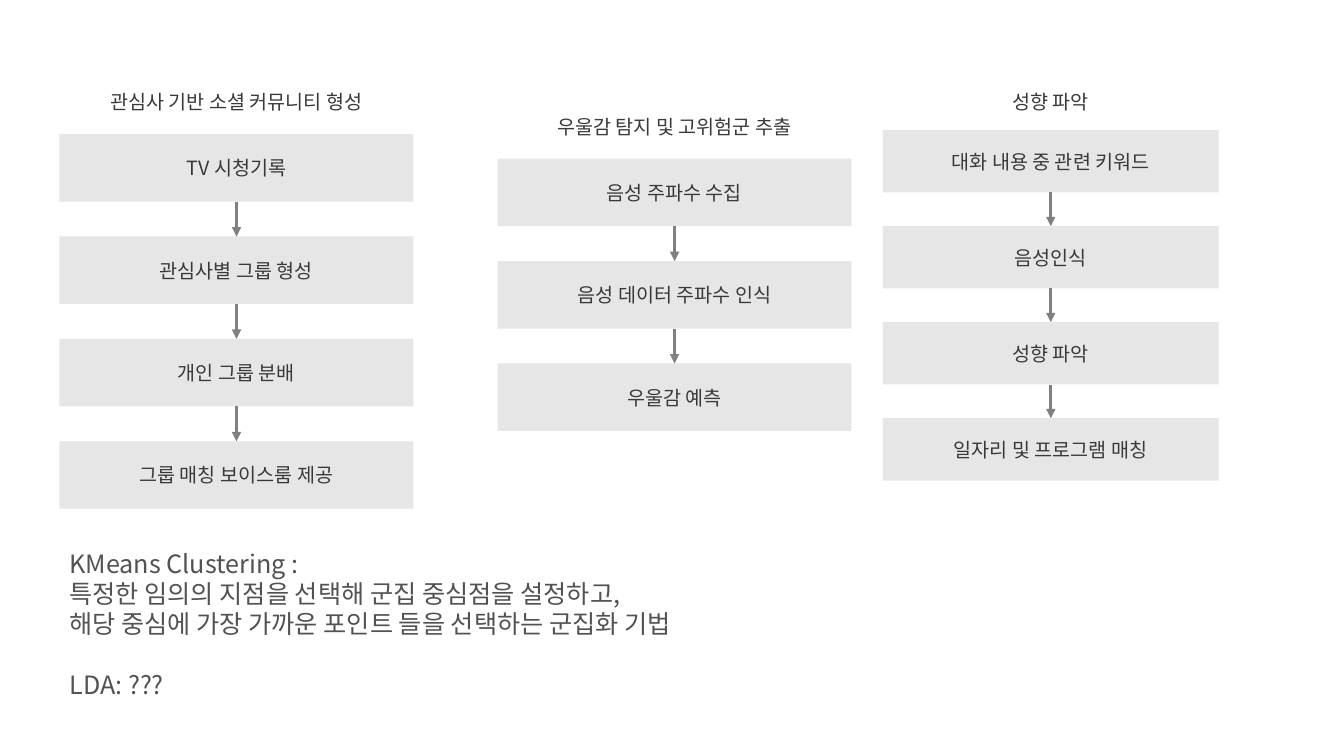
from lxml import etree
from pptx import Presentation
from pptx import util as u
from pptx.dml.color import RGBColor
from pptx.enum import shapes, text
from pptx.oxml import ns

FLOWS = [
    {"label": "관심사 기반 소셜 커뮤니티 형성",
     "steps": ["TV 시청기록", "관심사별 그룹 형성", "개인 그룹 분배", "그룹 매칭 보이스룸 제공"],
     "left": 1.5, "width": 8.92, "label_top": 2.13, "top": 3.38, "height": 1.7, "pitch": 2.58},
    {"label": "우울감 탐지 및 고위험군 추출",
     "steps": ["음성 주파수 수집", "음성 데이터 주파수 인식", "우울감 예측"],
     "left": 12.54, "width": 8.92, "label_top": 2.77, "top": 4, "height": 1.7, "pitch": 2.58},
    {"label": "성향 파악",
     "steps": ["대화 내용 중 관련 키워드", "음성인식", "성향 파악", "일자리 및 프로그램 매칭"],
     "left": 22.25, "width": 8.46, "label_top": 2.13, "top": 3.28, "height": 1.57, "pitch": 2.42},
]
NOTES = [
    "KMeans Clustering :",
    "특정한 임의의 지점을 선택해 군집 중심점을 설정하고,",
    "해당 중심에 가장 가까운 포인트 들을 선택하는 군집화 기법",
    "LDA: ???",
]
FONT = "Noto Sans CJK KR"
BOX_FILL = RGBColor(0xE7, 0xE6, 0xE6)
STEP_COLOR = RGBColor(0x3B, 0x38, 0x38)
NOTE_COLOR = RGBColor(0x52, 0x52, 0x52)
ARROW_COLOR = RGBColor(0x80, 0x80, 0x80)
STEP_FONT = {"name": FONT, "size": u.Pt(14)}
NOTE_FONT = {"name": FONT, "size": u.Pt(18)}
CENTERED = {"alignment": text.PP_ALIGN.CENTER}
NOTE_LINES = {"alignment": text.PP_ALIGN.LEFT, "line_spacing": u.Pt(21.6)}


def set_all(target, values):
    for name, value in values.items():
        setattr(target, name, value)


def write(shape, lines, font, color, layout, anchor):
    frame = shape.text_frame
    set_all(frame, {"word_wrap": True, "vertical_anchor": anchor})
    for index, line in enumerate(lines):
        paragraph = frame.add_paragraph() if index else frame.paragraphs[0]
        set_all(paragraph, layout)
        run = paragraph.add_run()
        run.text = line
        set_all(run.font, font)
        run.font.color.rgb = color
        east_asian = etree.SubElement(run._r.get_or_add_rPr(), ns.qn("a:ea"))
        east_asian.set("typeface", font["name"])


def add_box(group, flow, index, step):
    top = flow["top"] + index * flow["pitch"]
    box = group.shapes.add_shape(
        shapes.MSO_SHAPE.RECTANGLE, u.Cm(flow["left"]), u.Cm(top),
        u.Cm(flow["width"]), u.Cm(flow["height"]))
    box.shadow.inherit = False
    box.fill.solid()
    box.fill.fore_color.rgb = BOX_FILL
    box.line.fill.background()
    write(box, [step], STEP_FONT, STEP_COLOR, CENTERED, text.MSO_ANCHOR.MIDDLE)
    return box


def add_arrow(group, upper, lower):
    middle = upper.left + upper.width // 2
    arrow = group.shapes.add_connector(
        shapes.MSO_CONNECTOR.STRAIGHT, middle, upper.top + upper.height, middle, lower.top)
    arrow.begin_connect(upper, 2)
    arrow.end_connect(lower, 0)
    arrow.line.width = u.Pt(2.25)
    arrow.line.color.rgb = ARROW_COLOR
    etree.SubElement(arrow.line._get_or_add_ln(), ns.qn("a:tailEnd")).set("type", "triangle")
    etree.SubElement(arrow._element.spPr, ns.qn("a:effectLst"))


def add_flow(slide, flow):
    group = slide.shapes.add_group_shape()
    label = group.shapes.add_textbox(
        u.Cm(flow["left"]), u.Cm(flow["label_top"]), u.Cm(flow["width"]), u.Cm(1.12))
    write(label, [flow["label"]], STEP_FONT, STEP_COLOR, CENTERED, text.MSO_ANCHOR.TOP)
    boxes = [add_box(group, flow, index, step) for index, step in enumerate(flow["steps"])]
    for upper, lower in zip(boxes, boxes[1:]):
        add_arrow(group, upper, lower)


def main():
    presentation = Presentation()
    set_all(presentation, {"slide_width": u.Cm(33.87), "slide_height": u.Cm(19.05)})
    slide = presentation.slides.add_slide(presentation.slide_layouts[6])
    for flow in FLOWS:
        add_flow(slide, flow)
    notes = slide.shapes.add_textbox(u.Cm(1.5), u.Cm(13.69), u.Cm(16.94), u.Cm(4.11))
    write(notes, NOTES, NOTE_FONT, NOTE_COLOR, NOTE_LINES, text.MSO_ANCHOR.TOP)
    notes.text_frame.paragraphs[-1].space_before = u.Pt(21.6)
    presentation.save("out.pptx")


if __name__ == "__main__":
    main()
